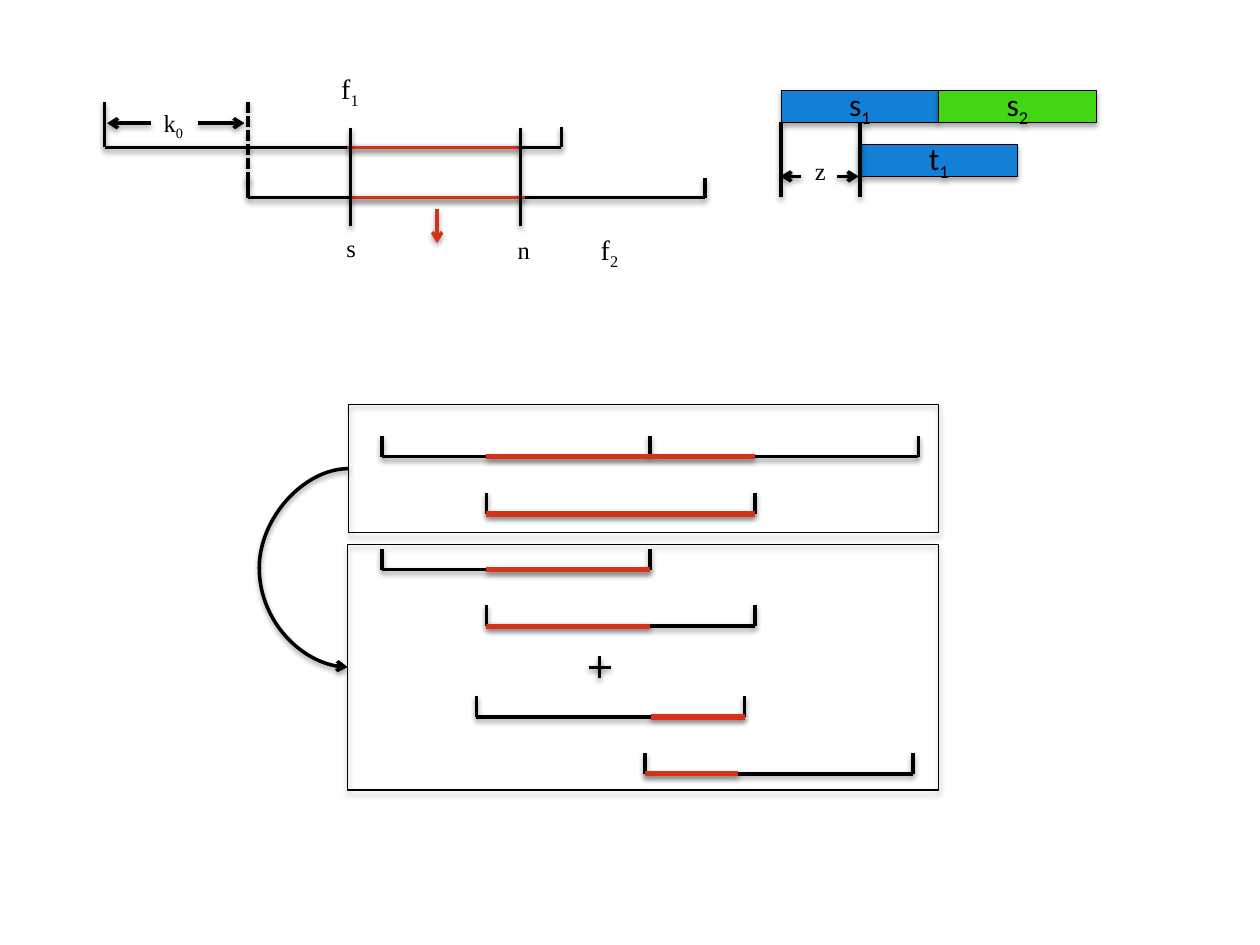
from lxml import etree
from pptx import Presentation
from pptx.dml.color import RGBColor
from pptx.enum import dml, shapes, text
from pptx.oxml.ns import qn
from pptx.util import Pt

BLACK, RED, BLUE, GREEN = "000000", "D63119", "1180D6", "43D615"


def color(value):
    return RGBColor.from_string(value)


def add_shadow(shape, opacity, distance):
    """Give the shape a soft black shadow straight below it."""
    effects = etree.SubElement(shape._element.spPr, qn("a:effectLst"))
    shadow = etree.SubElement(
        effects, qn("a:outerShdw"), blurRad=str(Pt(3.15)),
        dist=str(Pt(distance)), dir="5400000", rotWithShape="0")
    black = etree.SubElement(shadow, qn("a:srgbClr"), val=BLACK)
    etree.SubElement(black, qn("a:alpha"), val=str(opacity * 1000))


def add_line(parent, start, end, ink=BLACK, weight=2, arrow=False,
             dashed=False, kind=shapes.MSO_CONNECTOR.STRAIGHT):
    line = parent.add_connector(kind, *[Pt(value) for value in (*start, *end)])
    line.line.color.rgb = color(ink)
    line.line.width = Pt(weight)
    if dashed:
        line.line.dash_style = dml.MSO_LINE.SQUARE_DOT
    if arrow:
        etree.SubElement(line.line._get_or_add_ln(), qn("a:tailEnd"), type="arrow")
    add_shadow(line, 38, 1.57)
    return line


def write(box, letter, index, size, font):
    """Write a letter with an optional subscript."""
    para = box.text_frame.paragraphs[0]
    for part in filter(None, (letter, index)):
        span = para.add_run()
        span.text = part
        span.font.size = Pt(size)
        span.font.name = font
        span.font.color.rgb = color(BLACK)
        if part == index:
            span.font._element.set("baseline", "-25000")
    return para


def add_label(page, left, top, width, letter, index="", size=14):
    box = page.shapes.add_textbox(Pt(left), Pt(top), Pt(width), Pt(size * 1.2 + 7.4))
    box.text_frame.word_wrap = False
    box.text_frame.auto_size = text.MSO_AUTO_SIZE.SHAPE_TO_FIT_TEXT
    write(box, letter, index, size, "Times New Roman")


def add_box(page, left, top, width, height, fill=None):
    box = page.shapes.add_shape(
        shapes.MSO_SHAPE.RECTANGLE, Pt(left), Pt(top), Pt(width), Pt(height))
    if fill:
        box.fill.solid()
        box.fill.fore_color.rgb = color(fill)
    else:
        box.fill.background()
    box.line.color.rgb = color(BLACK)
    box.line.width = Pt(0.75)
    add_shadow(box, 35, 1.81)
    return box


def add_bracket(page, left, base, ticks, red, weight=3):
    """Draw a baseline with upright ticks {offset: height} and a red stretch."""
    group = page.shapes.add_group_shape().shapes
    add_line(group, (left + min(ticks), base), (left + max(ticks), base))
    for offset, height in ticks.items():
        add_line(group, (left + offset, base), (left + offset, base - height))
    add_line(group, (left + red[0], base), (left + red[1], base), RED, weight)


def draw_overlap(page, left, top):
    """Two shifted fragments f1 and f2 with their common stretch s to n."""
    shift, length = 82, 261
    upper, lower = top + 46.8, top + 75.6
    add_bracket(page, left, upper, {0: 25.9, length: 11.5}, (138.2, 237.6), 2)
    add_bracket(page, left + shift, lower, {0: 11.5, length: 11.5}, (58.4, 158.4), 2)
    add_line(page.shapes, (left + shift, top + 20.9), (left + shift, top + 68.4), dashed=True)
    for offset in (140.4, 237.6):
        add_line(page.shapes, (left + offset, top + 35.6), (left + offset, top + 91.8))
    for start, end in ((53.2, 79.9), (26.6, 1.4)):
        add_line(page.shapes, (left + start, top + 33), (left + end, top + 33), arrow=True)
    add_line(page.shapes, (left + 190, top + 82.1), (left + 190, top + 101.5), RED, arrow=True)
    add_label(page, left + 26.6, top + 20.9, 26.6, "k", "0")
    add_label(page, left + 131, top + 92.2, 20.2, "s")
    add_label(page, left + 229, top + 93.6, 21.6, "n")
    add_label(page, left + 128.1, top, 25.2, "f", "1", 16)
    add_label(page, left + 276.4, top + 92.2, 25.2, "f", "2", 16)


def draw_offset(page, left, top):
    """Blocks s1 and s2 above t1, which starts z further right."""
    width, height = 90, 18.2
    half = width / 2
    for x, y, fill, letter, index in (
            (0, 0, BLUE, "s", "1"), (width, 0, GREEN, "s", "2"),
            (half, 31, BLUE, "t", "1")):
        block = add_box(page, left + x, top + y, width, height, fill)
        block.text_frame.vertical_anchor = text.MSO_ANCHOR.MIDDLE
        write(block, letter, index, 18, "Calibri").alignment = text.PP_ALIGN.CENTER
    for x in (0, half):
        add_line(page.shapes, (left + x, top + height), (left + x, top + 61))
    for start, end in ((11.5, -0.4), (31.7, half - 0.8)):
        add_line(page.shapes, (left + start, top + 49), (left + end, top + 49), arrow=True)
    add_label(page, left + 12.2, top + 33.8, 20.9, "z")


def draw_split(page, left, top, width):
    """One match across two joined fragments becomes two separate matches."""
    length, tick, bulge = 153.3, 11.9, 50
    first, match, joint = left + 19.5, left + 79.3, left + 172.8
    before = joint - match
    after = length - before - 6.3
    pair = {0: tick, length: tick}

    whole = add_box(page, left + 0.5, top, width - 0.5, 73.4)
    add_bracket(page, first, top + 29.9,
                {**pair, 2 * length: tick}, (match - first, match - first + length))
    add_bracket(page, match, top + 62.6, pair, (0, length))

    lower = top + 79.9
    parts = add_box(page, left, lower, width, 140.4)
    for x, y, red in ((first, 14.5, (match - first, length)),
                      (match, 46.8, (0, before)),
                      (left + 73.5, 98.8, (length - after, length)),
                      (left + 169.8, 131.2, (0, after))):
        add_bracket(page, x, lower + y, pair, red)

    plus = page.shapes.add_group_shape().shapes
    x, y, arm = left + 144, lower + 70.4, 6.3
    add_line(plus, (x - arm, y), (x + arm, y))
    add_line(plus, (x, y + arm), (x, y - arm))

    curve = add_line(page.shapes, (left + 0.5, top + 36.7), (left, lower + 70.2),
                     arrow=True, kind=shapes.MSO_CONNECTOR.CURVE)
    curve.begin_connect(whole, 1)
    curve.end_connect(parts, 1)
    guides = curve._element.spPr.find(qn("a:prstGeom")).get_or_add_avLst()
    etree.SubElement(guides, qn("a:gd"), name="adj1",
                     fmla=f"val {round(Pt(bulge) / curve.width * 100000)}")


def main():
    deck = Presentation()
    deck.slide_width, deck.slide_height = Pt(720), Pt(540)
    page = deck.slides.add_slide(deck.slide_layouts[6])
    draw_overlap(page, 59.8, 37.4)
    draw_offset(page, 446.4, 51.8)
    draw_split(page, 198.7, 231.1, 337.7)
    deck.save("out.pptx")


if __name__ == "__main__":
    main()
